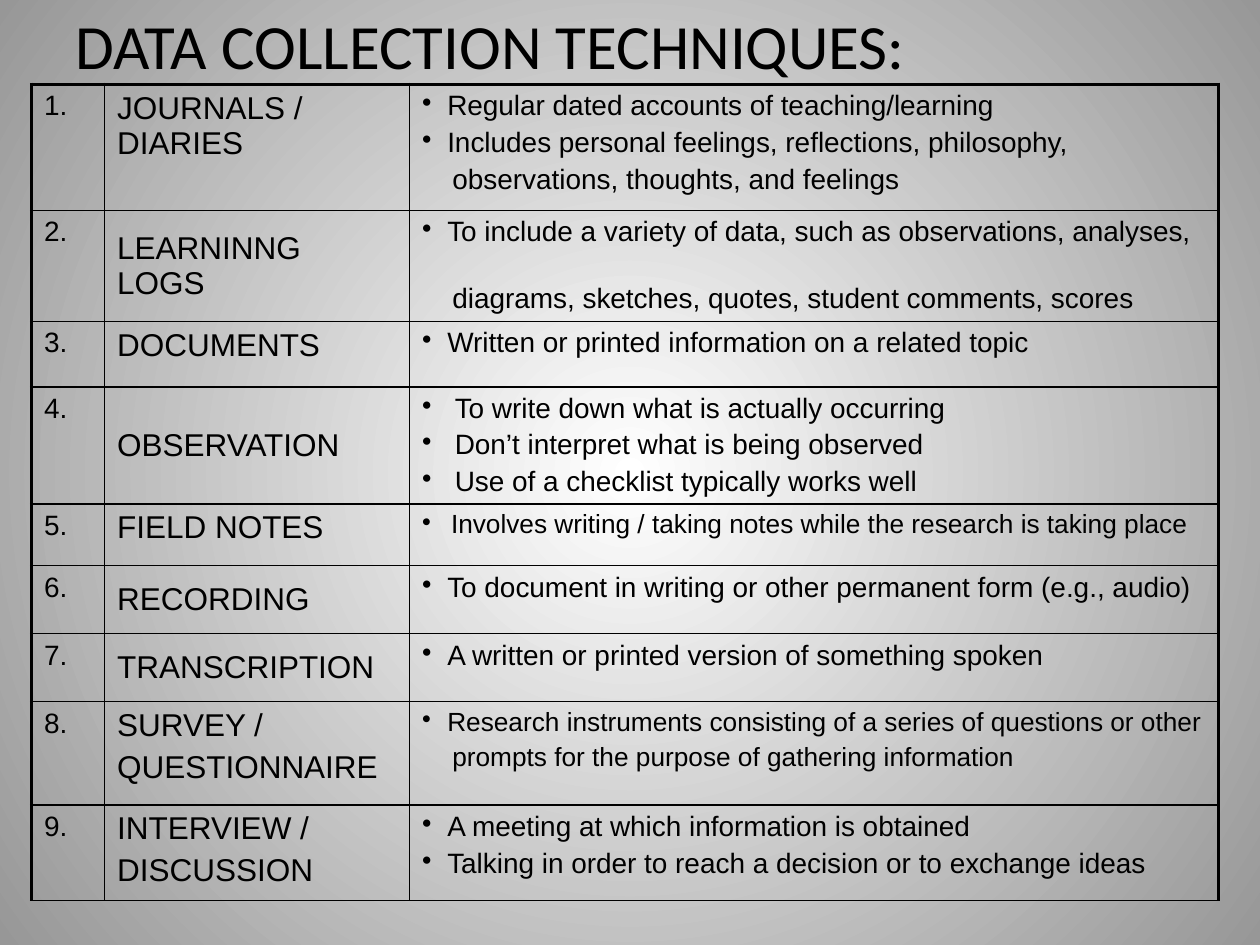
from lxml.etree import SubElement
from pptx import Presentation
from pptx.dml.color import RGBColor
from pptx.enum.text import MSO_ANCHOR, MSO_AUTO_SIZE, PP_ALIGN
from pptx.oxml.ns import qn
from pptx.util import Inches, Pt

COLORS = {"ink": "000000", "center": "FFFFFF", "edge": "979797"}
COLUMN_WIDTHS = [0.58, 2.42, 6.42]
TOP, MIDDLE = MSO_ANCHOR.TOP, MSO_ANCHOR.MIDDLE
BULLET_INDENT = 0.2
OUTER_WIDTH, INNER_WIDTH = 2.25, 1

# Row height, technique lines, technique anchor, text size, text indent,
# description lines as (text, has bullet)
TECHNIQUES = [
    (1.0, ["JOURNALS / DIARIES"], TOP, 16, 0.2, [
        ("Regular dated accounts of teaching/learning", True),
        ("Includes personal feelings, reflections, philosophy,", True),
        ("observations, thoughts, and feelings", False)]),
    (0.88, ["LEARNINNG LOGS"], MIDDLE, 16, 0.2, [
        ("To include a variety of data, such as observations, analyses,", True),
        ("diagrams, sketches, quotes, student comments, scores", False)]),
    (0.52, ["DOCUMENTS"], TOP, 16, 0.2, [
        ("Written or printed information on a related topic", True)]),
    (0.93, ["OBSERVATION"], MIDDLE, 16, 0.26, [
        ("To write down what is actually occurring", True),
        ("Don’t interpret what is being observed", True),
        ("Use of a checklist typically works well", True)]),
    (0.49, ["FIELD NOTES"], TOP, 15, 0.23, [
        ("Involves writing / taking notes while the research is taking place", True)]),
    (0.54, ["RECORDING"], MIDDLE, 16, 0.2, [
        ("To document in writing or other permanent form (e.g., audio)", True)]),
    (0.54, ["TRANSCRIPTION"], MIDDLE, 16, 0.2, [
        ("A written or printed version of something spoken", True)]),
    (0.82, ["SURVEY /", "QUESTIONNAIRE"], TOP, 15, 0.2, [
        ("Research instruments consisting of a series of questions or other", True),
        ("prompts for the purpose of gathering information", False)]),
    (0.76, ["INTERVIEW /", "DISCUSSION"], TOP, 16, 0.2, [
        ("A meeting at which information is obtained", True),
        ("Talking in order to reach a decision or to exchange ideas", True)]),
]


def write_lines(cell, lines, size):
    """Fill a cell with one paragraph per line and return the paragraphs."""
    cell.text = "\n".join(lines)
    for paragraph in cell.text_frame.paragraphs:
        paragraph.font.name = "Arial"
        paragraph.font.size = Pt(size)
        paragraph.font.color.rgb = RGBColor.from_string(COLORS["ink"])
        properties = paragraph._p.get_or_add_pPr()
        spacing = SubElement(properties, qn("a:spcBef"))
        # Schema order puts paragraph spacing before the default run properties
        properties.insert(0, spacing)
        SubElement(spacing, qn("a:spcPct"), val="20000")
    return cell.text_frame.paragraphs


def set_borders(cell, widths):
    """Draw the left, right, top and bottom borders, then clear the fill."""
    properties = cell._tc.get_or_add_tcPr()
    for side, width in zip("LRTB", widths):
        line = SubElement(properties, qn(f"a:ln{side}"), w=str(Pt(width)))
        fill = SubElement(line, qn("a:solidFill"))
        SubElement(fill, qn("a:srgbClr"), val=COLORS["ink"])
    cell.fill.background()


presentation = Presentation()
presentation.slide_width = Inches(10)
presentation.slide_height = Inches(7.5)
slide = presentation.slides.add_slide(presentation.slide_layouts[5])

# Radial background
background = slide.background.fill
background.gradient()
for stop, name in zip(background.gradient_stops, ("center", "edge")):
    stop.color.rgb = RGBColor.from_string(COLORS[name])
gradient = slide.element.find(".//" + qn("a:gradFill"))
gradient.remove(gradient.find(qn("a:lin")))
radial = SubElement(gradient, qn("a:path"), path="circle")
SubElement(radial, qn("a:fillToRect"), l="50000", t="50000", r="50000", b="50000")

# Title
title = slide.shapes.title
title.left, title.top = Inches(0.5), Inches(0)
title.width, title.height = Inches(9), Inches(6.37)
title.text = "DATA COLLECTION TECHNIQUES:"
title.text_frame.vertical_anchor = TOP
title.text_frame.auto_size = MSO_AUTO_SIZE.NONE
heading = title.text_frame.paragraphs[0]
heading.alignment = PP_ALIGN.LEFT
heading.font.name = "Calibri"
heading.font.size = Pt(36)
heading.font.color.rgb = RGBColor.from_string(COLORS["ink"])

# Table of techniques
table = slide.shapes.add_table(
    len(TECHNIQUES), len(COLUMN_WIDTHS), Inches(0.25), Inches(0.67),
    Inches(sum(COLUMN_WIDTHS)), Inches(sum(row[0] for row in TECHNIQUES))).table
table.first_row = False
table.horz_banding = False
for column, width in zip(table.columns, COLUMN_WIDTHS):
    column.width = Inches(width)

for index, (height, names, anchor, size, indent, details) in enumerate(TECHNIQUES):
    table.rows[index].height = Inches(height)
    number_cell, name_cell, detail_cell = table.rows[index].cells
    write_lines(number_cell, [f"{index + 1}."], 16)
    write_lines(name_cell, names, 18)
    name_cell.vertical_anchor = anchor

    paragraphs = write_lines(detail_cell, [text for text, _ in details], size)
    for paragraph, (_, has_bullet) in zip(paragraphs, details):
        properties = paragraph._p.get_or_add_pPr()
        if has_bullet:
            properties.set("marL", str(Inches(indent)))
            properties.set("indent", str(-Inches(indent)))
            bullet = SubElement(properties, qn("a:buChar"), char="•")
            properties.insert(1, bullet)
        else:
            properties.set("marL", str(Inches(indent + 0.04)))
    if names == ["LEARNINNG LOGS"]:
        paragraphs[-1].space_before = Pt(20)

    top = OUTER_WIDTH if index == 0 else INNER_WIDTH
    set_borders(number_cell, (OUTER_WIDTH, INNER_WIDTH, top, INNER_WIDTH))
    set_borders(name_cell, (INNER_WIDTH, INNER_WIDTH, top, INNER_WIDTH))
    set_borders(detail_cell, (INNER_WIDTH, OUTER_WIDTH, top, INNER_WIDTH))

presentation.save("out.pptx")
